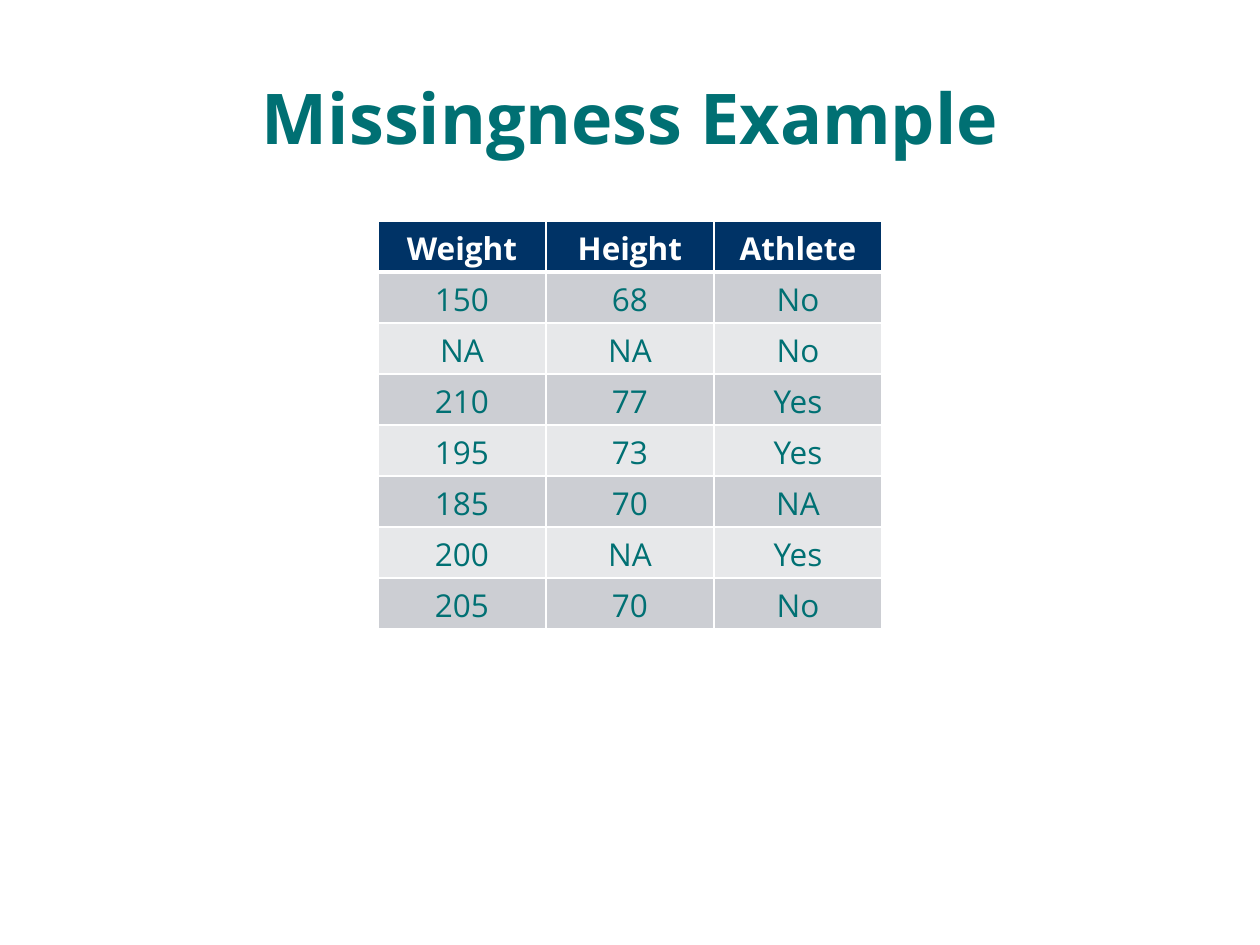
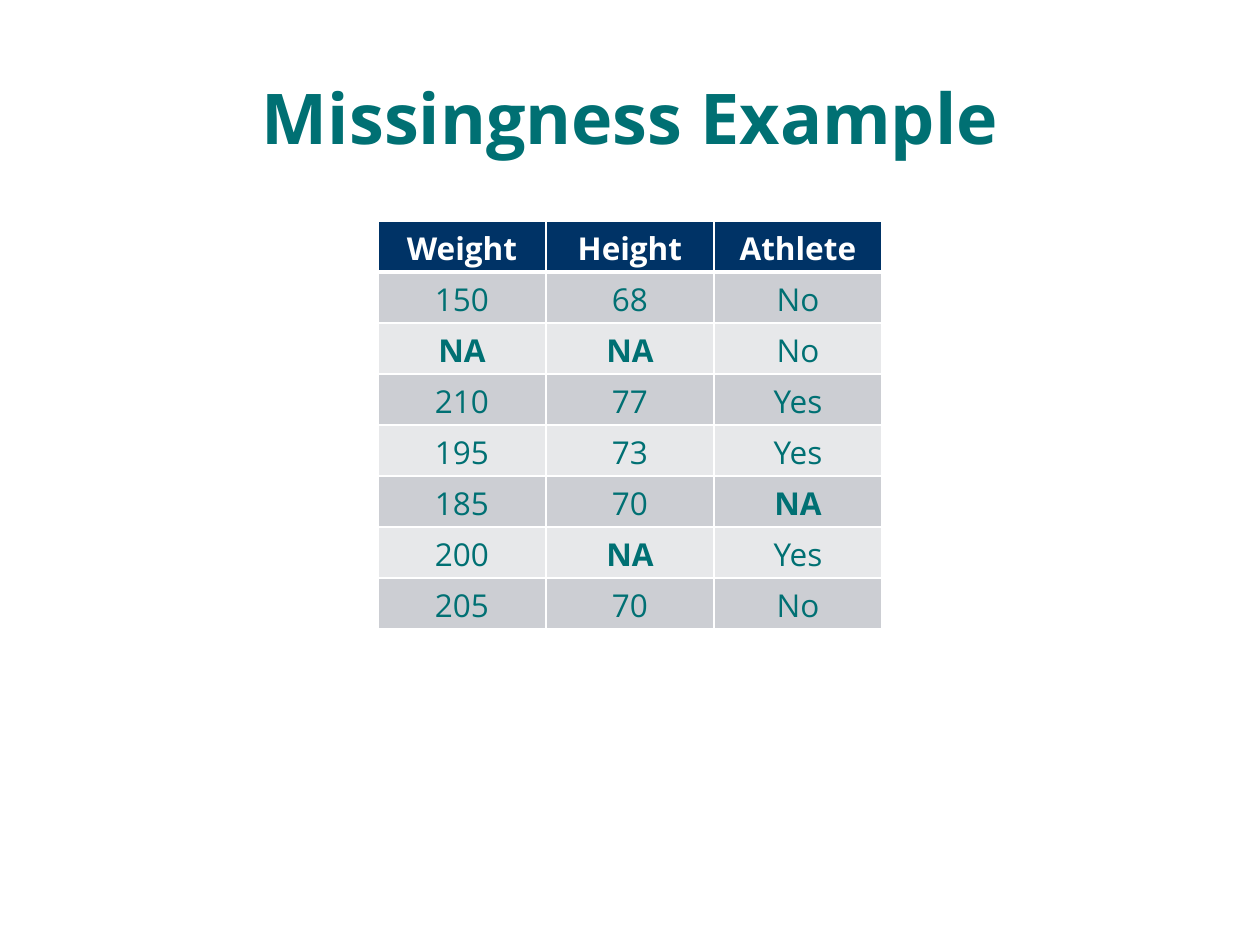
from dataclasses import dataclass

from lxml import etree
from pptx import Presentation
from pptx import util as u
from pptx.dml.color import RGBColor
from pptx.enum import text
from pptx.oxml import ns

EMU_PER_PX = 914400 / 126
FONT = "Open Sans"
TEAL = RGBColor(0x00, 0x70, 0x73)
NAVY = RGBColor(0x00, 0x33, 0x66)
WHITE = RGBColor(0xFF, 0xFF, 0xFF)
BANDS = (RGBColor(0xCC, 0xCE, 0xD3), RGBColor(0xE7, 0xE8, 0xEA))

MISSING = "NA"
HEADINGS = ("Weight", "Height", "Athlete")
RECORDS = (
    ("150", "68", "No"),
    (MISSING, MISSING, "No"),
    ("210", "77", "Yes"),
    ("195", "73", "Yes"),
    ("185", "70", MISSING),
    ("200", MISSING, "Yes"),
    ("205", "70", "No"),
)


@dataclass(frozen=True)
class Box:
    left: int
    top: int
    width: int
    height: int

    def emu(self) -> tuple[u.Emu, ...]:
        return tuple(px(n) for n in (self.left, self.top, self.width, self.height))


@dataclass(frozen=True)
class ExampleSlide:
    title: str
    bold_missing: bool


TITLE_BOX = Box(63, 38, 1134, 157)
TABLE_BOX = Box(378, 221, 504, 408)
EXAMPLES = (
    ExampleSlide("Missingness Example", bold_missing=False),
    ExampleSlide("Missingness Example", bold_missing=True),
)


def px(length: int) -> u.Emu:
    return u.Emu(round(length * EMU_PER_PX))


def write(frame, words: str, *, size: int, color: RGBColor, bold: bool = False) -> None:
    paragraph = frame.paragraphs[0]
    paragraph.alignment = text.PP_ALIGN.CENTER
    run = paragraph.add_run()
    run.text = words
    run.font.name = FONT
    run.font.size = u.Pt(size)
    run.font.bold = bold
    run.font.color.rgb = color


def draw_borders(cell, *, top: int = 1, bottom: int = 1) -> None:
    properties = cell._tc.get_or_add_tcPr()
    widths = {"a:lnL": 1, "a:lnR": 1, "a:lnT": top, "a:lnB": bottom}
    for position, (side, width) in enumerate(widths.items()):
        line = etree.Element(ns.qn(side), w=str(u.Pt(width)))
        fill = etree.SubElement(line, ns.qn("a:solidFill"))
        etree.SubElement(fill, ns.qn("a:srgbClr"), val=str(WHITE))
        properties.insert(position, line)


def draw_title(slide, title: str) -> None:
    frame = slide.shapes.add_textbox(*TITLE_BOX.emu()).text_frame
    frame.word_wrap = True
    frame.vertical_anchor = text.MSO_ANCHOR.MIDDLE
    write(frame, title, size=40, color=TEAL, bold=True)


def draw_records(slide, bold_missing: bool) -> None:
    rows = (HEADINGS, *RECORDS)
    table = slide.shapes.add_table(len(rows), len(HEADINGS), *TABLE_BOX.emu()).table
    for row_index, row in enumerate(rows):
        heading = row_index == 0
        for column_index, value in enumerate(row):
            cell = table.cell(row_index, column_index)
            cell.fill.solid()
            cell.fill.fore_color.rgb = NAVY if heading else BANDS[(row_index - 1) % 2]
            write(
                cell.text_frame,
                value,
                size=18,
                color=WHITE if heading else TEAL,
                bold=heading or (bold_missing and value == MISSING),
            )
            draw_borders(cell, top=3 if row_index == 1 else 1, bottom=3 if heading else 1)


def main() -> None:
    deck = Presentation()
    deck.slide_width, deck.slide_height = px(1260), px(945)
    blank = deck.slide_layouts[6]
    for example in EXAMPLES:
        slide = deck.slides.add_slide(blank)
        draw_title(slide, example.title)
        draw_records(slide, example.bold_missing)
    deck.save("out.pptx")


if __name__ == "__main__":
    main()
